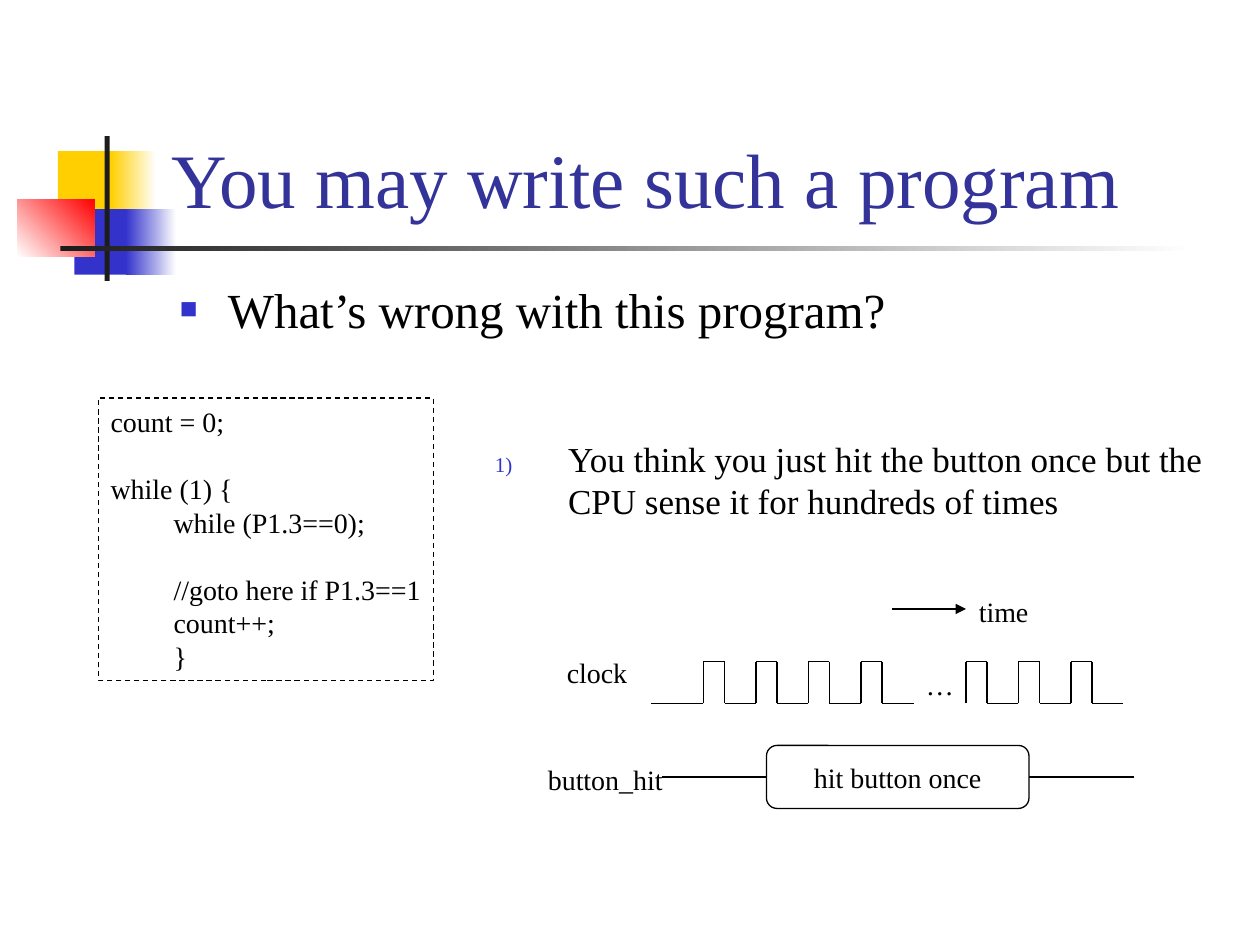
from itertools import pairwise

from lxml import etree
from pptx import Presentation
from pptx import util as u
from pptx.dml.color import RGBColor
from pptx.enum import dml, shapes, text
from pptx.oxml.ns import qn

# Content
COLORS = {"yellow": "FFCF01", "blue": "3333CC", "red": "FF0000", "white": "FFFFFF",
          "dark": "1C1C1C", "title": "333399", "ink": "000000"}
FONT = "Times New Roman"
CODE_LINE = 19.2  # line pitch of 16 pt text, in points

# left, top, width, height, colours from start to end, gradient angle
ORNAMENT = [
    (0.46, 1.2, 0.48, 0.52, ["yellow"], 0),
    (0.88, 1.2, 0.36, 0.52, ["yellow", "white"], 0),
    (0.59, 1.66, 0.46, 0.52, ["blue"], 0),
    (1, 1.66, 0.4, 0.52, ["blue", "white"], 0),
    (0.14, 1.58, 0.61, 0.46, ["white", "red"], 45),
    (0.83, 1.08, 0.04, 1.15, ["dark"], 0),
    (0.48, 1.95, 9, 0.04, ["dark", "white"], 0),
]
TITLE = "You may write such a program"
# text, place, size, hanging indent, bullet tag and attributes
POINTS = [
    ("What’s wrong with this program?", (1.33, 2.17, 8.12, 0.63), 28, 0.38,
     ("a:buChar", {"char": "■"})),
    ("You think you just hit the button once but the CPU sense it for hundreds of times",
     (3.83, 3.42, 5.92, 0.92), 20, 0.58,
     ("a:buAutoNum", {"type": "arabicParenR"})),
]
# text, indent level, blank lines above
CODE = [
    ("count = 0;", 0, 0),
    ("while (1) {", 0, 1),
    ("while (P1.3==0);", 1, 0),
    ("//goto here if P1.3==1", 1, 1),
    ("count++;", 1, 0),
    ("}", 1, 0),
]
LABELS = [
    ("time", (7.67, 4.67, 0.62, 0.37)),
    ("clock", (4.4, 5.15, 0.7, 0.37)),
    ("…", (7.25, 5.25, 0.44, 0.37)),
    ("button_hit", (4.25, 6, 1.13, 0.37)),
]
# Timing diagram, on a grid of twelfths of an inch
HIGH, LOW = 63, 67
PULSE_WIDTH, PULSE_PITCH = 2, 5
TRAINS = [(62, 67, 4), (92, 92, 3)]  # line start, first pulse, pulses
TRAIN_ENDS = [87, 107]
ARROW = ((85, 58), (92, 58))
BUTTON = (73, 71, 25, 6)
BUTTON_LEADS = [(63, 1), (108, 3)]  # outer end, side of the button

deck = Presentation()
deck.slide_width, deck.slide_height = u.Inches(10), u.Inches(7.5)
page = deck.slides.add_slide(deck.slide_layouts[6])


def color(name):
    return RGBColor.from_string(COLORS[name])


def grid(*steps):
    return [u.Inches(step / 12) for step in steps]


def add_frame(place, **format_values):
    box = page.shapes.add_textbox(*map(u.Inches, place))
    for name, value in format_values.items():
        setattr(box.text_frame, name, value)
    return box.text_frame


def write(para, words, size, ink="ink", **format_values):
    span = para.add_run()
    span.text = words
    for name, value in {"name": FONT, "size": u.Pt(size)}.items():
        setattr(span.font, name, value)
    span.font.color.rgb = color(ink)
    for name, value in format_values.items():
        setattr(para, name, value)


def add_bullet(para, indent, tag, attributes):
    props = para._p.get_or_add_pPr()
    props.set("marL", str(u.Inches(indent)))
    props.set("indent", str(-u.Inches(indent)))
    tint = etree.SubElement(props, qn("a:buClr"))
    etree.SubElement(tint, qn("a:srgbClr"), val=COLORS["blue"])
    etree.SubElement(props, qn("a:buSzPct"), val="60000")
    etree.SubElement(props, qn("a:buFont"), typeface=FONT)
    etree.SubElement(props, qn(tag), attributes)


def add_line(start, end):
    line = page.shapes.add_connector(shapes.MSO_CONNECTOR.STRAIGHT, *grid(*start, *end))
    line.line.color.rgb = color("ink")
    line.line.width = u.Pt(0.75)
    etree.SubElement(line._element.spPr, qn("a:effectLst"))
    return line


# Corner ornament and title rule
for *place, tints, angle in ORNAMENT:
    block = page.shapes.add_shape(shapes.MSO_SHAPE.RECTANGLE, *map(u.Inches, place))
    block.shadow.inherit = False
    block.line.fill.background()
    if len(tints) == 1:
        block.fill.solid()
        block.fill.fore_color.rgb = color(tints[0])
    else:
        block.fill.gradient()
        block.fill.gradient_angle = angle
        for stop, tint in zip(block.fill.gradient_stops, tints):
            stop.color.rgb = color(tint)

# Title
frame = add_frame((1.26, 0.23, 8.52, 1.6), word_wrap=True,
                  vertical_anchor=text.MSO_ANCHOR.BOTTOM)
write(frame.paragraphs[0], TITLE, 44, "title")

# Bulleted and numbered points
for words, place, size, indent, bullet in POINTS:
    frame = add_frame(place, word_wrap=True)
    add_bullet(frame.paragraphs[0], indent, *bullet)
    write(frame.paragraphs[0], words, size)

# Time arrow
arrow = add_line(*ARROW)
etree.SubElement(arrow.line._get_or_add_ln(), qn("a:tailEnd"), type="triangle")

# Clock signal
for (start, first, count), end in zip(TRAINS, TRAIN_ENDS):
    corners = [(start, LOW)] if start < first else []
    for pulse in range(count):
        rise = first + pulse * PULSE_PITCH
        fall = rise + PULSE_WIDTH
        corners += [(rise, LOW), (rise, HIGH), (fall, HIGH), (fall, LOW)]
    for corner, following in pairwise(corners + [(end, LOW)]):
        add_line(corner, following)

# Button signal
button = page.shapes.add_shape(shapes.MSO_SHAPE.ROUNDED_RECTANGLE, *grid(*BUTTON))
button.shadow.inherit = False
button.fill.background()
button.line.color.rgb = color("ink")
button.line.width = u.Pt(0.75)
button.text_frame.word_wrap = False
button.text_frame.vertical_anchor = text.MSO_ANCHOR.MIDDLE
write(button.text_frame.paragraphs[0], "hit button once", 16,
      alignment=text.PP_ALIGN.CENTER, line_spacing=u.Pt(CODE_LINE))
middle = BUTTON[1] + BUTTON[3] / 2
for outer, side in BUTTON_LEADS:
    lead = add_line((outer, middle), (outer, middle))
    lead.end_connect(button, side)

# Diagram labels
for words, place in LABELS:
    frame = add_frame(place, word_wrap=False, auto_size=text.MSO_AUTO_SIZE.NONE)
    write(frame.paragraphs[0], words, 16, alignment=text.PP_ALIGN.LEFT,
          line_spacing=u.Pt(CODE_LINE))

# Program listing
listing = page.shapes.add_shape(shapes.MSO_SHAPE.RECTANGLE,
                                *map(u.Inches, (0.78, 3.16, 2.66, 2.24)))
listing.shadow.inherit = False
listing.fill.background()
listing.line.color.rgb = color("ink")
listing.line.width = u.Pt(0.75)
listing.line.dash_style = dml.MSO_LINE.DASH
frame = listing.text_frame
frame.word_wrap = False
frame.vertical_anchor = text.MSO_ANCHOR.TOP
for number, (words, level, blanks) in enumerate(CODE):
    para = frame.add_paragraph() if number else frame.paragraphs[0]
    para._p.get_or_add_pPr().set("marL", str(u.Inches(0.5 * level)))
    write(para, words, 16, alignment=text.PP_ALIGN.LEFT, line_spacing=u.Pt(CODE_LINE))
    if blanks:
        para.space_before = u.Pt(blanks * CODE_LINE)

deck.save("out.pptx")
